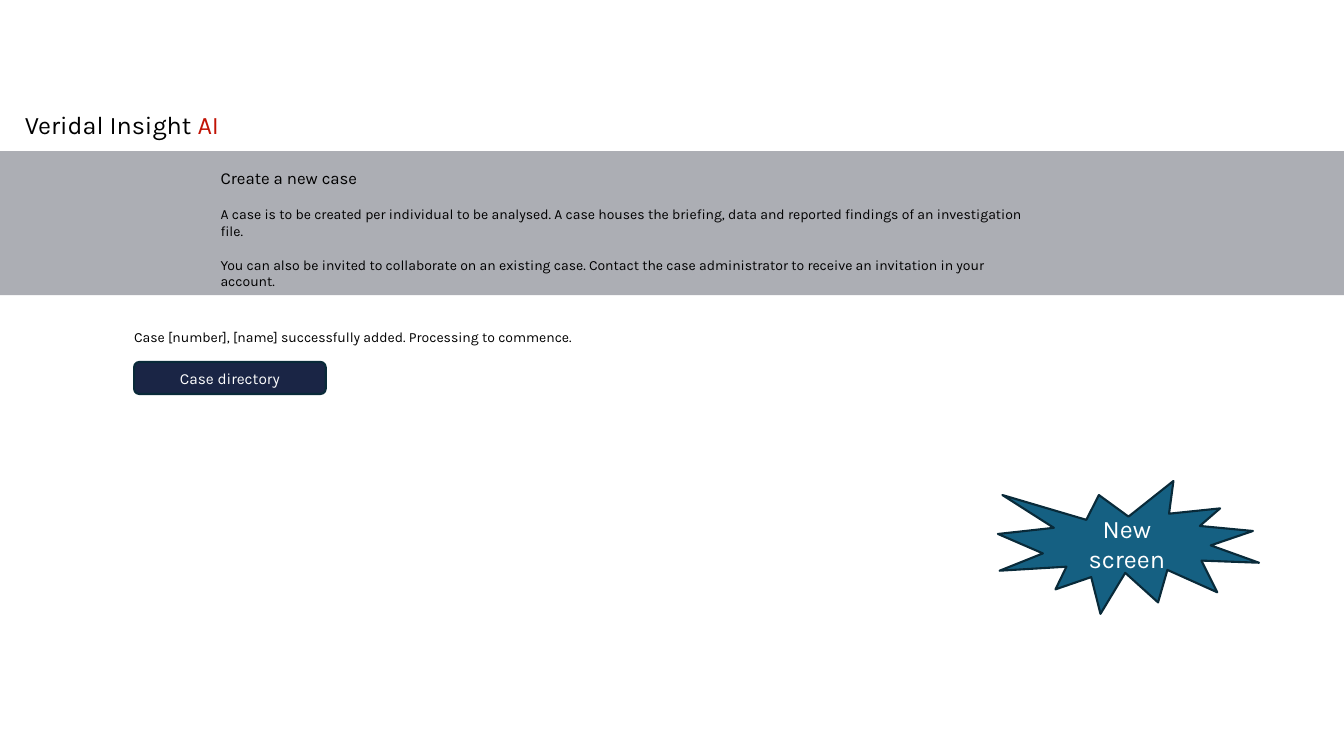
from pptx import Presentation
from pptx.dml.color import RGBColor
from pptx.enum.shapes import MSO_SHAPE as Preset
from pptx.enum.text import MSO_ANCHOR as Anchor, PP_ALIGN as Align
from pptx.util import Cm, Pt

FONT = "Karla"
BLACK, WHITE, RED = "000000", "FFFFFF", "C11305"
GREY, NAVY, TEAL, OUTLINE = "ACAEB4", "1A2545", "156082", "092A39"


def colour(hex_code):
    return RGBColor.from_string(hex_code)


def add_run(paragraph, words, size, ink):
    run = paragraph.add_run()
    run.text = words
    run.font.name = FONT
    run.font.size = Pt(size)
    run.font.color.rgb = colour(ink)


def add_panel(slide, preset, place, fill, outline=None, label=(), size=18):
    """Draw a filled shape; label is a list of (words, colour) runs."""
    panel = slide.shapes.add_shape(preset, *map(Cm, place))
    panel.shadow.inherit = False
    panel.fill.solid()
    panel.fill.fore_color.rgb = colour(fill)
    if outline:
        panel.line.color.rgb = colour(outline)
        panel.line.width = Pt(1.5)
    else:
        panel.line.fill.background()
    frame = panel.text_frame
    frame.word_wrap = True
    frame.vertical_anchor = Anchor.MIDDLE
    caption = frame.paragraphs[0]
    caption.alignment = Align.CENTER
    for words, ink in label:
        add_run(caption, words, size, ink)


def add_copy(slide, place, paragraphs, left_inset=0.25):
    """Add a text box; paragraphs are (words, size, space before)."""
    frame = slide.shapes.add_textbox(*map(Cm, place)).text_frame
    frame.word_wrap = True
    frame.margin_left = Cm(left_inset)
    for index, (words, size, gap) in enumerate(paragraphs):
        paragraph = frame.add_paragraph() if index else frame.paragraphs[0]
        if gap:
            paragraph.space_before = Pt(gap)
        add_run(paragraph, words, size, BLACK)


def main():
    deck = Presentation()
    deck.slide_width, deck.slide_height = Cm(33.87), Cm(19.05)
    slide = deck.slides.add_slide(deck.slide_layouts[6])

    # Grey banner with the introduction
    add_panel(slide, Preset.RECTANGLE, (0, 3.81, 33.87, 3.63), GREY)
    add_copy(slide, (5.31, 4.11, 21.16, 4.11), [
        ("Create a new case", 12, 0),
        ("A case is to be created per individual to be analysed. A case houses "
         "the briefing, data and reported findings of an investigation file.", 10, 12.5),
        ("You can also be invited to collaborate on an existing case. Contact "
         "the case administrator to receive an invitation in your account.", 10, 12),
    ])

    # Confirmation and directory button
    add_copy(slide, (3.38, 8.15, 11.79, 0.69), [
        ("Case [number], [name] successfully added. Processing to commence.", 10, 0),
    ], left_inset=0)
    add_panel(slide, Preset.ROUNDED_RECTANGLE, (3.38, 9.12, 4.83, 0.81), NAVY,
              OUTLINE, [("Case directory", WHITE)], size=11)

    # Product name
    add_panel(slide, Preset.RECTANGLE, (0, 2.51, 6.15, 1.27), WHITE,
              label=[("Veridal Insight ", BLACK), ("AI", RED)])

    # Callout
    add_panel(slide, Preset.EXPLOSION1, (25.15, 12.12, 6.58, 3.35), TEAL,
              OUTLINE, [("New screen", WHITE)])

    deck.save("out.pptx")


if __name__ == "__main__":
    main()
